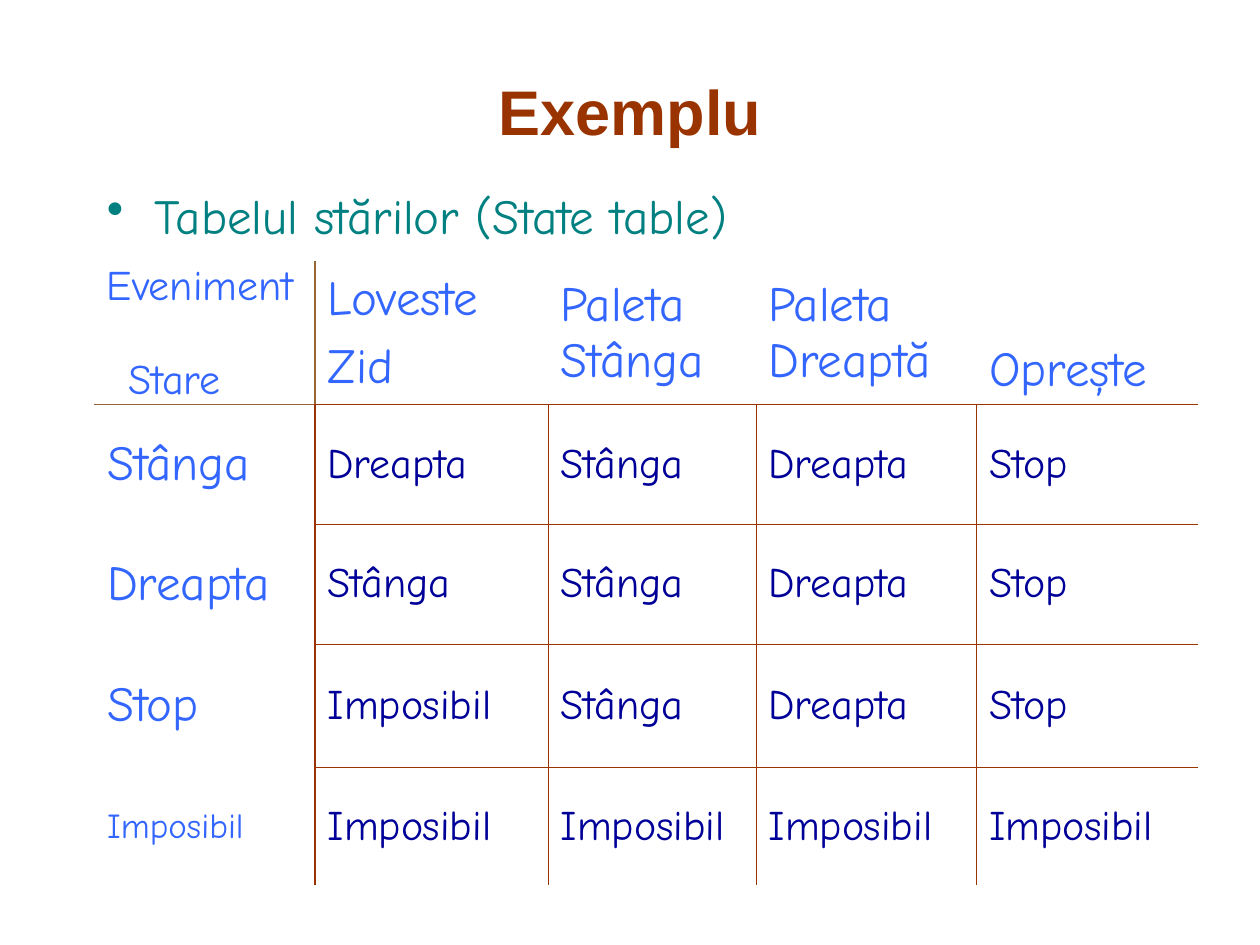
import pptx
import pptx.dml.color
import pptx.enum.text
import pptx.oxml
import pptx.oxml.ns
import pptx.util
from lxml import etree

Inches = pptx.util.Inches
Pt = pptx.util.Pt
Anchor = pptx.enum.text.MSO_ANCHOR

COLORS = {
    "title": "993300",
    "bullet": "008080",
    "heading": "3366FF",
    "state": "000099",
    "grid": "993300",
    "corner": "996633",
    "paper": "FFFFFF",
}
FONT = "Comic Neue"
THICK, THIN = 1.08, 0.45

COLUMN_WIDTHS = [1.75, 1.85, 1.65, 1.75, 1.75]
ROW_HEIGHTS = [1.13, 0.95, 0.95, 0.98, 0.94]
STATE_TABLE = [
    ["", "Loveste\nZid", "Paleta Stânga", "Paleta Dreaptă", "Oprește"],
    ["Stânga", "Dreapta", "Stânga", "Dreapta", "Stop"],
    ["Dreapta", "Stânga", "Stânga", "Dreapta", "Stop"],
    ["Stop", "Imposibil", "Stânga", "Dreapta", "Stop"],
    ["Imposibil", "Imposibil", "Imposibil", "Imposibil", "Imposibil"],
]


def rgb(name):
    return pptx.dml.color.RGBColor.from_string(COLORS[name])


def add_element(parent, tag, **attributes):
    element = etree.SubElement(parent, pptx.oxml.ns.qn(tag))
    for key, value in attributes.items():
        element.set(key, str(value))
    return element


def style(para, size, color, before, font=FONT):
    para.font.size = Pt(size)
    para.font.name = font
    para.font.color.rgb = rgb(color)
    para.space_before = Pt(before)


def add_title(page, text):
    title = page.shapes.title
    title.left, title.top = Inches(0.75), Inches(0.5)
    title.width, title.height = Inches(8.5), Inches(0.75)
    title.fill.solid()
    title.fill.fore_color.rgb = rgb("paper")
    title.text_frame.text = text
    title.text_frame.vertical_anchor = Anchor.MIDDLE
    para = title.text_frame.paragraphs[0]
    para.alignment = pptx.enum.text.PP_ALIGN.CENTER
    style(para, 36, "title", 0, "Arial")
    para.font.bold = True


def add_text(page, text, left, top, width, height, size, color, before):
    box = page.shapes.add_textbox(Inches(left), Inches(top), Inches(width), Inches(height))
    box.text_frame.word_wrap = True
    box.text_frame.text = text
    para = box.text_frame.paragraphs[0]
    style(para, size, color, before)
    return para


def add_bullet(para, color):
    properties = para._p.get_or_add_pPr()
    properties.set("marL", str(Inches(0.38)))
    properties.set("indent", str(-Inches(0.38)))
    bullet_color = add_element(properties, "a:buClr")
    add_element(bullet_color, "a:srgbClr", val=COLORS[color])
    add_element(properties, "a:buChar", char="•")


def row_line(edge, column):
    """Colour and width of the horizontal line above row number edge."""
    if edge in (0, len(ROW_HEIGHTS)):
        return "paper", THICK
    if edge == 1:
        return ("grid" if column else "corner"), THICK
    return ("grid" if column else "paper"), THIN


def column_line(edge, row):
    """Colour and width of the vertical line left of column number edge."""
    if edge in (0, len(COLUMN_WIDTHS)):
        return "paper", THICK
    if edge == 1:
        return ("grid" if row else "corner"), THICK
    return ("grid" if row else "paper"), THIN


def set_borders(cell, row, column):
    lines = {
        "a:lnL": column_line(column, row),
        "a:lnR": column_line(column + 1, row),
        "a:lnT": row_line(row, column),
        "a:lnB": row_line(row + 1, column),
    }
    properties = cell._tc.get_or_add_tcPr()
    for tag, (color, width) in lines.items():
        line = add_element(properties, tag, w=Pt(width))
        fill = add_element(line, "a:solidFill")
        add_element(fill, "a:srgbClr", val=COLORS[color])


def fill_cell(cell, text, row, column):
    set_borders(cell, row, column)
    cell.fill.background()
    cell.text = text
    # The last heading stands on the header line
    last_heading = row == 0 and column == len(COLUMN_WIDTHS) - 1
    cell.vertical_anchor = Anchor.BOTTOM if last_heading else Anchor.MIDDLE
    for para in cell.text_frame.paragraphs:
        if row and column:
            style(para, 24, "state", 6)
        elif text == "Imposibil":
            style(para, 20, "heading", 5)
        else:
            style(para, 28, "heading", 7)


def add_state_table(page):
    frame = page.shapes.add_table(
        len(ROW_HEIGHTS), len(COLUMN_WIDTHS), Inches(0.75), Inches(2.08),
        Inches(sum(COLUMN_WIDTHS)), Inches(sum(ROW_HEIGHTS)))
    table = frame.table
    table.first_row = table.horz_banding = False
    for column, width in zip(table.columns, COLUMN_WIDTHS):
        column.width = Inches(width)
    for row, height in zip(table.rows, ROW_HEIGHTS):
        row.height = Inches(height)
    for row, texts in enumerate(STATE_TABLE):
        for column, text in enumerate(texts):
            fill_cell(table.cell(row, column), text, row, column)


def main():
    deck = pptx.Presentation()
    deck.slide_width, deck.slide_height = Inches(10), Inches(7.5)
    page = deck.slides.add_slide(deck.slide_layouts[5])

    # Title and bullet
    add_title(page, "Exemplu")
    bullet = add_text(page, "Tabelul stărilor (State table)",
                      0.75, 1.42, 5.92, 5.75, 28, "bullet", 7)
    add_bullet(bullet, "bullet")

    # State table with the two labels in its corner cell
    add_state_table(page)
    add_text(page, "Eveniment", 0.75, 2, 1.83, 0.5, 24, "heading", 15)
    add_text(page, "Stare", 0.92, 2.75, 1.33, 0.5, 24, "heading", 15)

    deck.save("out.pptx")


if __name__ == "__main__":
    main()
